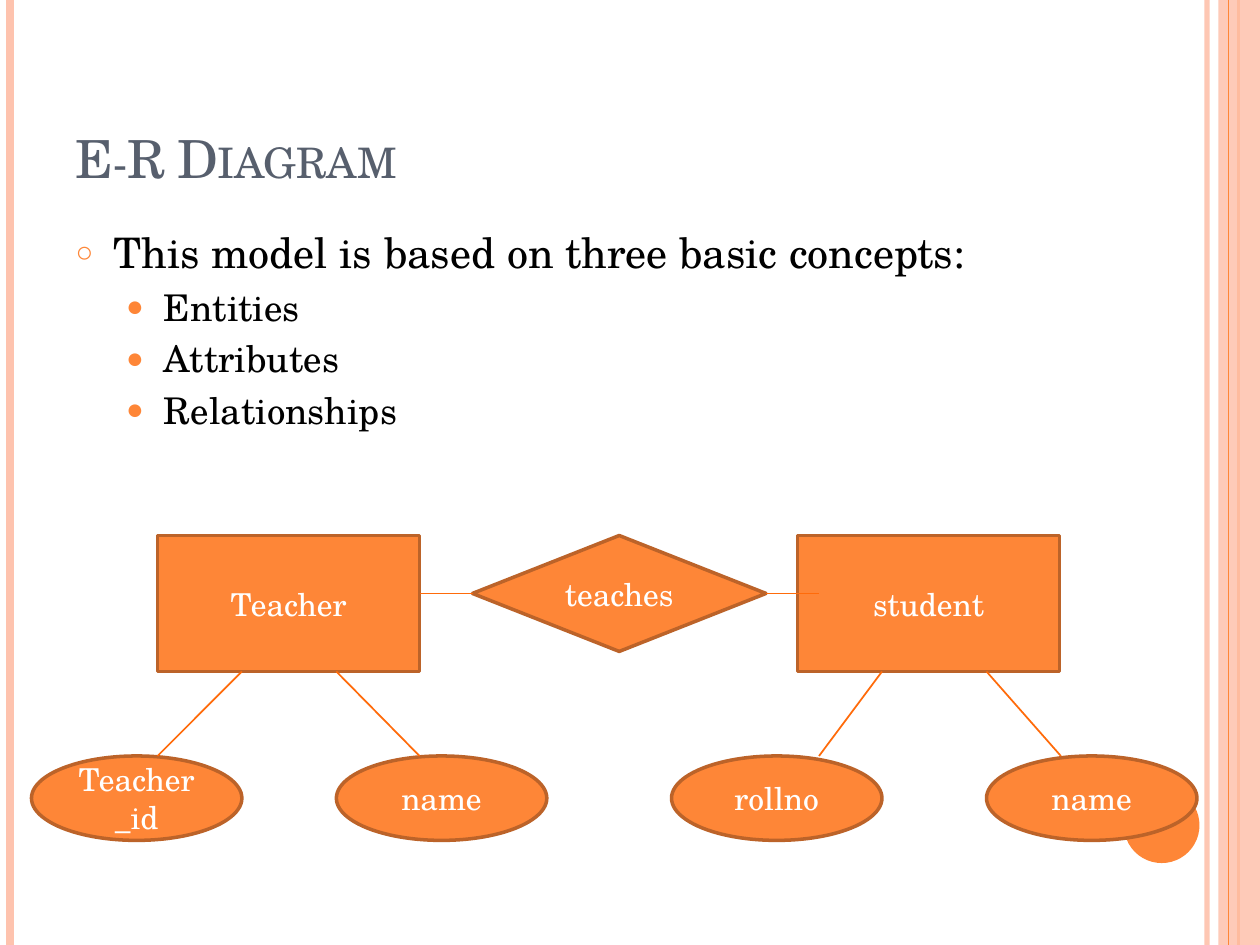
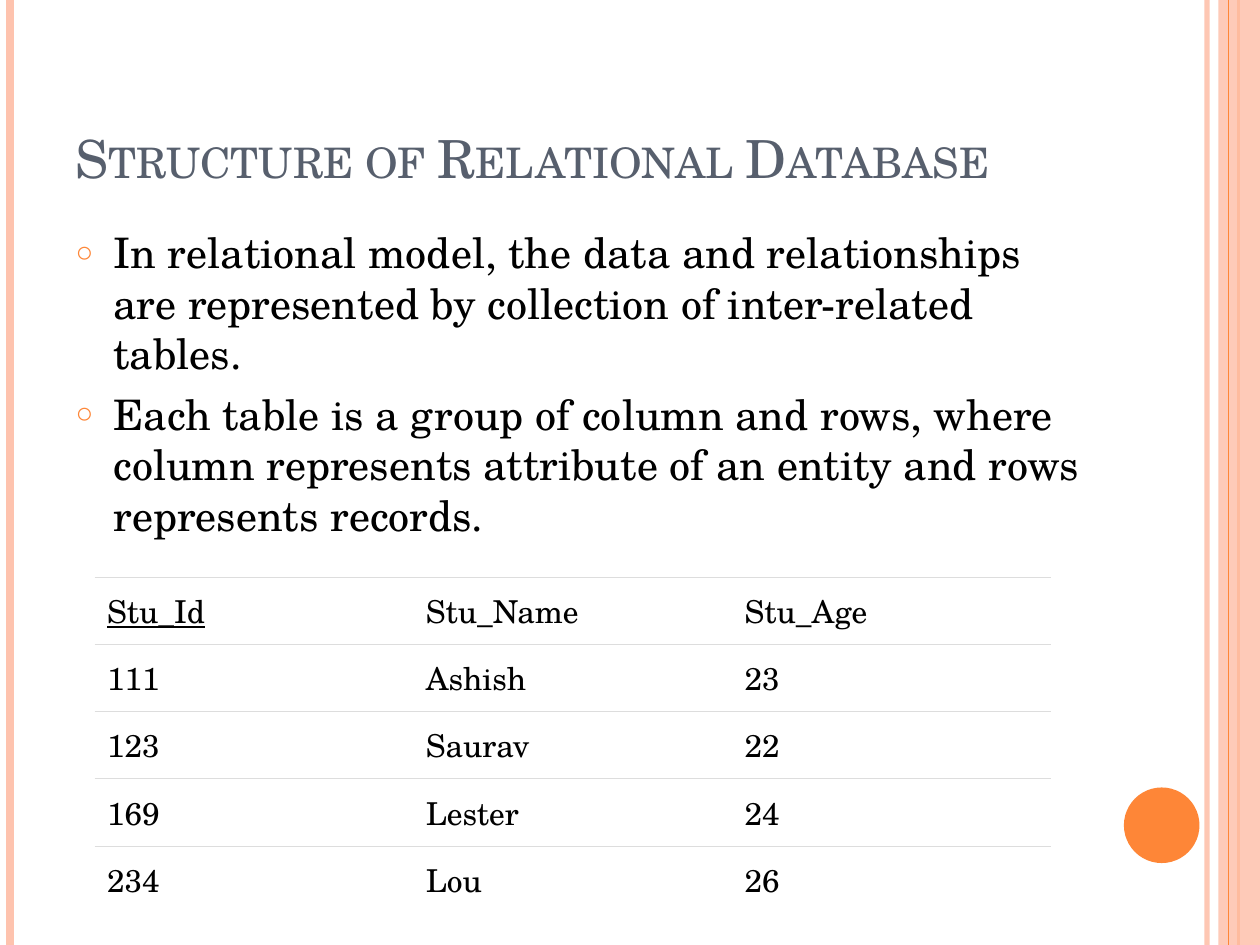
from dataclasses import dataclass
from typing import NamedTuple

from lxml.etree import SubElement
from pptx import Presentation
from pptx.dml.color import RGBColor
from pptx.enum.shapes import MSO_CONNECTOR, MSO_SHAPE as Geometry
from pptx.enum.text import MSO_ANCHOR as Anchor, MSO_AUTO_SIZE as AutoSize, PP_ALIGN as Align
from pptx.oxml.ns import qn
from pptx.util import Inches, Pt


@dataclass(frozen=True)
class Theme:
    font: str = "TeX Gyre Schola"
    accent: str = "FE8637"
    outline: str = "BC6329"
    link: str = "FF6B0A"
    band: str = "FEC3AE"
    title: str = "575F6D"
    text: str = "000000"
    paper: str = "FFFFFF"
    rule: str = "DDDDDD"
    title_size: float = 30
    label_size: float = 18


THEME = Theme()


class BulletLevel(NamedTuple):
    size: float
    indent: float
    before: float
    mark: str
    percent: int


LEVELS = [BulletLevel(24, 0.3, 6, "○", 70), BulletLevel(21, 0.7, 4.2, "●", 80)]


class Stripe(NamedTuple):
    x: float
    color: str
    width: float
    opacity: int = 100


class Node(NamedTuple):
    text: str
    geometry: Geometry
    left: float
    top: float
    width: float
    height: float


class Link(NamedTuple):
    start: tuple[float, float]
    end: tuple[float, float]


# Text and shape helpers
def write(paragraph, text: str, *, size: float = THEME.label_size, color: str = THEME.text,
          align: Align = Align.LEFT, underline: bool = False, small_caps: bool = False) -> None:
    paragraph.alignment = align
    run = paragraph.add_run()
    run.text = text
    run.font.name = THEME.font
    run.font.size = Pt(size)
    run.font.color.rgb = RGBColor.from_string(color)
    if underline:
        run.font.underline = True
    if small_caps:
        run.font._element.set("cap", "small")


def set_opacity(properties, percent: int) -> None:
    color = next(properties.iter(qn("a:srgbClr")))
    SubElement(color, qn("a:alpha"), val=str(percent * 1000))


def add_line(slide, link: Link, color: str, width: float, opacity: int = 100):
    points = [Inches(value) for value in (*link.start, *link.end)]
    connector = slide.shapes.add_connector(MSO_CONNECTOR.STRAIGHT, *points)
    connector.line.color.rgb = RGBColor.from_string(color)
    connector.line.width = Pt(width)
    if opacity < 100:
        set_opacity(connector.line._ln, opacity)
    SubElement(connector._element.spPr, qn("a:effectLst"))
    return connector


def add_node(slide, node: Node, *, fill: str = THEME.accent, outline: str | None = THEME.outline):
    box = [Inches(value) for value in node[2:]]
    shape = slide.shapes.add_shape(node.geometry, *box)
    shape.shadow.inherit = False
    shape.fill.solid()
    shape.fill.fore_color.rgb = RGBColor.from_string(fill)
    if outline:
        shape.line.color.rgb = RGBColor.from_string(outline)
        shape.line.width = Pt(2)
    else:
        shape.line.fill.background()
    if node.text:
        shape.text_frame.vertical_anchor = Anchor.MIDDLE
        write(shape.text_frame.paragraphs[0], node.text, color=THEME.paper, align=Align.CENTER)
    return shape


# Shared frame: side stripes, band, disc, title and list
STRIPES_BELOW = [Stripe(9.58, THEME.band, 3, 93), Stripe(0.08, THEME.band, 4.5),
                 Stripe(9.83, THEME.accent, 1.5)]
STRIPE_ABOVE = Stripe(9.75, THEME.accent, 0.75)
BAND = Node("", Geometry.RECTANGLE, 9.67, 0, 0.33, 7.5)
DISC = Node("", Geometry.OVAL, 8.92, 6.25, 0.6, 0.6)


def add_stripe(slide, stripe: Stripe) -> None:
    add_line(slide, Link((stripe.x, 0), (stripe.x, 7.5)), stripe.color, stripe.width, stripe.opacity)


def add_frame(slide) -> None:
    for stripe in STRIPES_BELOW:
        add_stripe(slide, stripe)
    band = add_node(slide, BAND, fill=THEME.band, outline=None)
    set_opacity(band._element.spPr, 87)
    add_stripe(slide, STRIPE_ABOVE)
    add_node(slide, DISC, outline=None)


def place(placeholder, top: float, height: float, anchor: Anchor):
    placeholder.left, placeholder.top = Inches(0.5), Inches(top)
    placeholder.width, placeholder.height = Inches(8.17), Inches(height)
    frame = placeholder.text_frame
    frame.word_wrap = True
    frame.auto_size = AutoSize.NONE
    frame.vertical_anchor = anchor
    return frame


def add_bullet(paragraph, text: str, level: int) -> None:
    style = LEVELS[level]
    paragraph.level = level
    paragraph.space_before = Pt(style.before)
    write(paragraph, text, size=style.size)
    properties = paragraph._p.get_or_add_pPr()
    properties.set("marL", str(Inches(style.indent)))
    properties.set("indent", str(Inches(-0.3)))
    color = SubElement(properties, qn("a:buClr"))
    SubElement(color, qn("a:srgbClr"), val=THEME.accent)
    SubElement(properties, qn("a:buSzPct"), val=str(style.percent * 1000))
    SubElement(properties, qn("a:buChar"), char=style.mark)


def add_content_slide(presentation, title: str, bullets: list[tuple[int, str]]):
    slide = presentation.slides.add_slide(presentation.slide_layouts[1])
    add_frame(slide)
    heading = place(slide.shapes.title, 0.3, 1.25, Anchor.BOTTOM)
    write(heading.paragraphs[0], title, size=THEME.title_size, color=THEME.title, small_caps=True)
    body = place(slide.placeholders[1], 1.75, 5.33, Anchor.TOP)
    for index, (level, text) in enumerate(bullets):
        paragraph = body.add_paragraph() if index else body.paragraphs[0]
        add_bullet(paragraph, text, level)
    return slide


# Slide 1: entities, attributes and their relationship
ENTITIES = [Node(text, Geometry.RECTANGLE, left, 4.25, 2.08, 1.08)
            for text, left in (("Teacher", 1.25), ("student", 6.33))]
ATTRIBUTES = [Node(text, Geometry.OVAL, left, 6, 1.67, 0.67)
              for text, left in (("Teacher_id", 0.25), ("name", 2.67), ("rollno", 5.33), ("name", 7.83))]
RELATIONSHIP = Node("teaches", Geometry.DIAMOND, 3.75, 4.25, 2.33, 0.92)
ATTRIBUTE_LINKS = [Link((low, 6), (high, 5.33))
                   for low, high in ((1.25, 1.92), (3.33, 2.67), (6.5, 7), (8.42, 7.83))]


def build_diagram_slide(presentation) -> None:
    slide = add_content_slide(presentation, "E-R Diagram", [
        (0, "This model is based on three basic concepts:"),
        (1, "Entities"), (1, "Attributes"), (1, "Relationships")])
    for node in ENTITIES + ATTRIBUTES:
        add_node(slide, node)
    for link in ATTRIBUTE_LINKS:
        add_line(slide, link, THEME.link, 1)
    diamond = add_node(slide, RELATIONSHIP)
    to_teacher = add_line(slide, Link((3.33, 4.71), (3.75, 4.71)), THEME.link, 1)
    to_teacher.end_connect(diamond, 1)
    to_student = add_line(slide, Link((6.08, 4.71), (6.5, 4.71)), THEME.link, 1)
    to_student.begin_connect(diamond, 3)


# Slide 2: student table
STUDENTS = [
    ("Stu_Id", "Stu_Name", "Stu_Age"),
    ("111", "Ashish", "23"),
    ("123", "Saurav", "22"),
    ("169", "Lester", "24"),
    ("234", "Lou", "26"),
]


def set_borders(cell, visible: set[str]) -> None:
    properties = cell._tc.get_or_add_tcPr()
    for side in "LRTB":
        border = SubElement(properties, qn(f"a:ln{side}"), w=str(Pt(0.75)))
        if side in visible:
            fill = SubElement(border, qn("a:solidFill"))
            SubElement(fill, qn("a:srgbClr"), val=THEME.rule)
        else:
            SubElement(border, qn("a:noFill"))


def add_student_table(slide) -> None:
    rows, columns = len(STUDENTS), len(STUDENTS[0])
    table = slide.shapes.add_table(rows, columns, Inches(0.75), Inches(4.58),
                                   Inches(7.59), Inches(2.67)).table
    table.first_row = table.horz_banding = False
    for row_index, record in enumerate(STUDENTS):
        for column_index, text in enumerate(record):
            cell = table.cell(row_index, column_index)
            set_borders(cell, {"T"} if row_index == rows - 1 else {"T", "B"})
            cell.fill.solid()
            cell.fill.fore_color.rgb = RGBColor.from_string(THEME.paper)
            cell.vertical_anchor = Anchor.MIDDLE
            cell.margin_left = cell.margin_right = Inches(0.1)
            cell.margin_top = cell.margin_bottom = Inches(0.06)
            write(cell.text_frame.paragraphs[0], text, underline=row_index == column_index == 0)


def build_table_slide(presentation) -> None:
    slide = add_content_slide(presentation, "Structure of Relational Database", [
        (0, "In relational model, the data and relationships are represented by "
            "collection of inter-related tables."),
        (0, "Each table is a group of column and rows, where column represents "
            "attribute of an entity and rows represents records.")])
    add_student_table(slide)


def main() -> None:
    presentation = Presentation()
    presentation.slide_width, presentation.slide_height = Inches(10), Inches(7.5)
    build_diagram_slide(presentation)
    build_table_slide(presentation)
    presentation.save("out.pptx")


if __name__ == "__main__":
    main()
